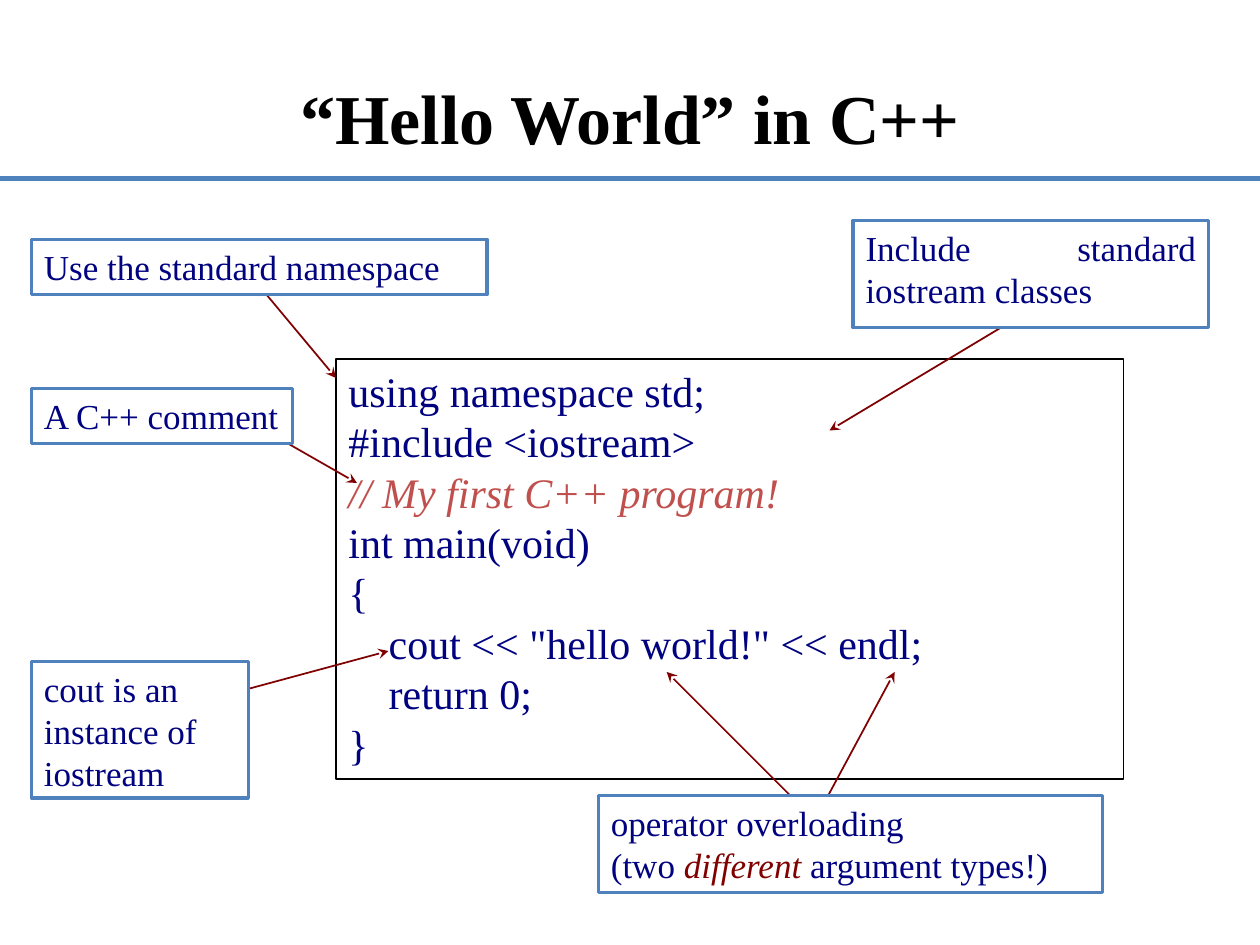
from lxml import etree
from pptx import Presentation
from pptx.dml.color import RGBColor
from pptx.enum.shapes import MSO_CONNECTOR, MSO_SHAPE
from pptx.enum.text import MSO_ANCHOR, PP_ALIGN
from pptx.oxml.ns import qn
from pptx.util import Inches, Pt

RECT, STRAIGHT = MSO_SHAPE.RECTANGLE, MSO_CONNECTOR.STRAIGHT
TOP, MIDDLE = MSO_ANCHOR.TOP, MSO_ANCHOR.MIDDLE
LEFT, CENTER, JUSTIFY = PP_ALIGN.LEFT, PP_ALIGN.CENTER, PP_ALIGN.JUSTIFY

COLORS = {
    "white": "FFFFFF", "black": "000000", "navy": "00027F",
    "red": "C0504D", "maroon": "7F0101", "blue": "4F81BD",
}
FONT = "Times New Roman"
TITLE = {"size": Pt(40), "bold": True}
CODE = {"size": Pt(24)}
NOTE = {"size": Pt(20)}
TAB = 0.32  # code indent, inches

# Each line of text is a list of (text, color, italic) runs
CODE_LINES = [
    [("using namespace std;", "navy", False)],
    [("#include <iostream>", "navy", False)],
    [("// My first C++ program!", "red", True)],
    [("int main(void)", "navy", False)],
    [("{", "navy", False)],
    [("\tcout << \"hello world!\" << endl;", "navy", False)],
    [("\treturn 0;", "navy", False)],
    [("}", "navy", False)],
]

# Callouts: box (column, row, columns, rows), alignment, lines, arrows
CALLOUTS = [
    ((3, 22.8, 43.4, 5.25), LEFT,
     [[("Use the standard namespace", "navy", False)]],
     [(24.5, 27, 32, 36)]),
    ((81.25, 21, 33.85, 10.2), JUSTIFY,
     [[("Include standard iostream classes", "navy", False)]],
     [(97.5, 29.9, 79, 41)]),
    ((3, 37, 24.85, 5.25), LEFT,
     [[("A C++ comment", "navy", False)]],
     [(27, 42, 34, 46)]),
    ((3, 63, 20.65, 13), LEFT,
     [[("cout is an instance of iostream", "navy", False)]],
     [(18.5, 67, 37, 62)]),
    ((57, 75.75, 48, 9.25), LEFT,
     [[("operator overloading", "navy", False)],
      [("(two ", "navy", False), ("different", "maroon", True),
       (" argument types!)", "navy", False)]],
     [(75.5, 76, 63.5, 64), (78.75, 76, 85.2, 64)]),
]


def grid(*cells):
    """Turn cells of a 120 x 90 grid (12 to the inch) into lengths."""
    return [Inches(c / 12) for c in cells]


def rgb(name):
    return RGBColor.from_string(COLORS[name])


def add_tab_stop(p):
    tabs = etree.SubElement(p._p.get_or_add_pPr(), qn("a:tabLst"))
    etree.SubElement(tabs, qn("a:tab"), pos=str(Inches(TAB)), algn="l")


def write(tf, lines, fmt, align=LEFT, anchor=TOP):
    tf.word_wrap = True
    tf.vertical_anchor = anchor
    for i, line in enumerate(lines):
        p = tf.add_paragraph() if i else tf.paragraphs[0]
        p.alignment = align
        if line[0][0].startswith("\t"):
            add_tab_stop(p)
        for text, color, italic in line:
            r = p.add_run()
            r.text = text
            for name, value in {"name": FONT, "italic": italic, **fmt}.items():
                setattr(r.font, name, value)
            r.font.color.rgb = rgb(color)


def add_box(s, box, line, width, lines, fmt, align=LEFT):
    sp = s.shapes.add_shape(RECT, *grid(*box))
    sp.shadow.inherit = False
    sp.fill.solid()
    sp.fill.fore_color.rgb = rgb("white")
    sp.line.color.rgb = rgb(line)
    sp.line.width = Pt(width)
    write(sp.text_frame, lines, fmt, align)


def add_line(s, ends, color, width, arrow=False):
    cn = s.shapes.add_connector(STRAIGHT, *grid(*ends))
    cn.line.color.rgb = rgb(color)
    cn.line.width = Pt(width)
    if arrow:
        etree.SubElement(cn.line._get_or_add_ln(), qn("a:tailEnd"), type="stealth")
    etree.SubElement(cn._element.spPr, qn("a:effectLst"))


def main():
    prs = Presentation()
    prs.slide_width, prs.slide_height = grid(120, 90)
    s = prs.slides.add_slide(prs.slide_layouts[6])

    # Title
    tb = s.shapes.add_textbox(*grid(6, 3.6, 108, 15))
    write(tb.text_frame, [[("“Hello World” in C++", "black", False)]],
          TITLE, CENTER, MIDDLE)

    # Program listing
    add_box(s, (32, 34.2, 75, 40), "black", 0.75, CODE_LINES, CODE)

    # Callouts, each lying over the start of its arrows
    for box, align, lines, arrows in CALLOUTS:
        for ends in arrows:
            add_line(s, ends, "maroon", 1, arrow=True)
        add_box(s, box, "blue", 2, lines, NOTE, align)

    # Rule under the title
    add_line(s, (0, 17, 120, 17), "blue", 3)

    prs.save("out.pptx")


if __name__ == "__main__":
    main()
